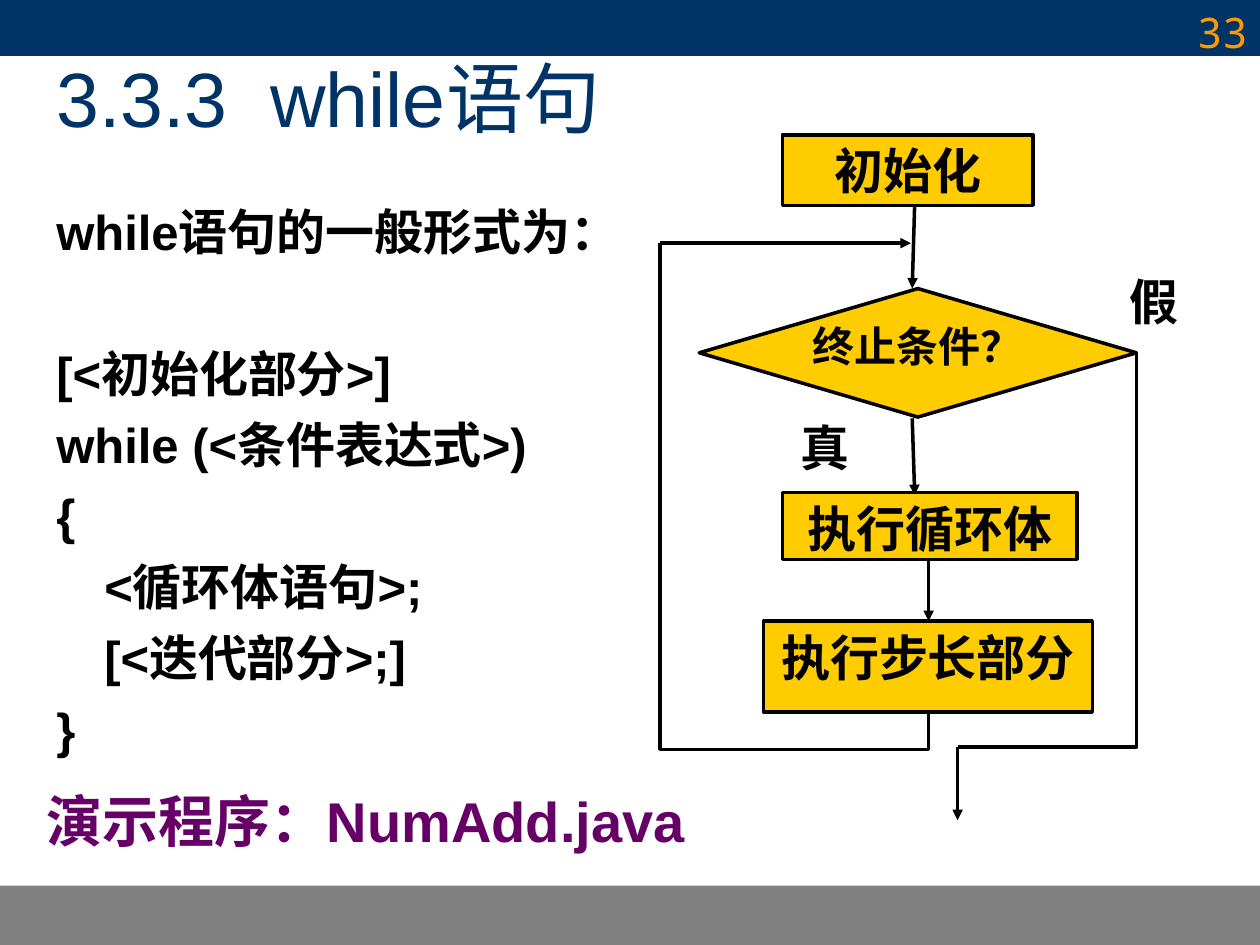
from lxml.etree import SubElement
from pptx import Presentation
from pptx.dml.color import RGBColor
from pptx.enum.shapes import MSO_CONNECTOR as CONN, MSO_SHAPE as SHAPE
from pptx.enum.text import MSO_ANCHOR as ANCHOR, PP_ALIGN as ALIGN
from pptx.oxml.ns import qn
from pptx.util import Inches, Pt

COLORS = {"navy": "003366", "gray": "808080", "gold": "FFCC00", "black": "000000",
          "white": "FFFFFF", "purple": "660066", "orange": "FF9900"}


class FlowSlide:
    """Style and drawing methods for the loop slide."""
    sans, serif, mono = "Arial", "Times New Roman", "Noto Sans Mono"
    line_width = Pt(2)

    def __init__(self, s):
        self.s = s

    def color(self, name):
        return RGBColor.from_string(COLORS[name])

    def run(self, p, text, size, font, color, bold=False):
        r = p.add_run()
        r.text = text
        r.font.size, r.font.name, r.font.bold = Pt(size), font, bold
        r.font.color.rgb = self.color(color)

    def frame(self, tf, x, y):
        tf.word_wrap = True
        tf.vertical_anchor = ANCHOR.TOP
        tf.margin_left = tf.margin_right = Inches(x)
        tf.margin_top = tf.margin_bottom = Inches(y)

    def textbox(self, at, anchor=ANCHOR.TOP):
        tf = self.s.shapes.add_textbox(*map(Inches, at)).text_frame
        self.frame(tf, 0.1, 0.05)
        tf.vertical_anchor = anchor
        return tf

    def label(self, at, text, size, font, color, bold=False, align=ALIGN.LEFT, anchor=ANCHOR.TOP):
        p = self.textbox(at, anchor).paragraphs[0]
        p.alignment = align
        self.run(p, text, size, font, color, bold)

    def code(self, at, lines):
        tf = self.textbox(at)
        for i, (text, indent, before) in enumerate(lines):
            p = tf.paragraphs[0] if i == 0 else tf.add_paragraph()
            p._p.get_or_add_pPr().set("marL", str(Inches(indent)))
            if i:
                p.space_before = Pt(before)
            self.run(p, text, 28, self.sans, "black", True)

    def shape(self, kind, at, fill, line=None, width=line_width):
        sp = self.s.shapes.add_shape(kind, *map(Inches, at))
        sp.shadow.inherit = False
        sp.fill.solid()
        sp.fill.fore_color.rgb = self.color(fill)
        if line:
            sp.line.color.rgb = self.color(line)
            sp.line.width = width
        else:
            sp.line.fill.background()
        return sp

    def node(self, kind, at, text, size=28, margins=(0.09, 0.05), fill="gold", line="black"):
        sp = self.shape(kind, at, fill, line)
        self.frame(sp.text_frame, *margins)
        p = sp.text_frame.paragraphs[0]
        p.alignment = ALIGN.CENTER
        self.run(p, text, size, self.serif, "black", True)
        return sp

    def callout(self, at, text, tip):
        sp = self.node(SHAPE.ROUNDED_RECTANGULAR_CALLOUT, at, text, fill="white", line=None)
        for i, value in enumerate(tip):
            sp.adjustments[i] = value

    def connector(self, kind, start, end):
        sp = self.s.shapes.add_connector(kind, *map(Inches, start + end))
        sp.line.color.rgb = self.color("black")
        sp.line.width = self.line_width
        SubElement(sp._element.spPr, qn("a:effectLst"))
        return sp

    def arrow(self, start, end):
        ln = self.connector(CONN.STRAIGHT, start, end).line._get_or_add_ln()
        SubElement(ln, qn("a:tailEnd"), type="triangle")

    def elbow(self, start, end, turn, adjust, flip=False):
        (x1, y1), (x2, y2) = start, end
        cx, cy = (x1 + x2) / 2, (y1 + y2) / 2
        w, h = abs(y2 - y1), abs(x2 - x1)
        sp = self.connector(CONN.ELBOW, (cx - w / 2, cy - h / 2), (cx + w / 2, cy + h / 2))
        spPr = sp._element.spPr
        xfrm = spPr.find(qn("a:xfrm"))
        xfrm.set("rot", str(turn * 60000))
        if flip:
            xfrm.set("flipV", "1")
        guides = spPr.find(qn("a:prstGeom")).find(qn("a:avLst"))
        SubElement(guides, qn("a:gd"), name="adj1", fmla=f"val {round(adjust * 100000)}")


def main():
    prs = Presentation()
    prs.slide_width, prs.slide_height = Inches(10), Inches(7.5)
    f = FlowSlide(prs.slides.add_slide(prs.slide_layouts[6]))

    f.shape(SHAPE.RECTANGLE, (0, 7.03, 10, 0.47), "gray")
    f.shape(SHAPE.RECTANGLE, (0, 0, 10, 0.44), "navy", "navy", Pt(0.75))
    f.code((0.35, 1.55, 8.5, 4.5), [
        ("while语句的一般形式为：", 0, 0),
        ("[<初始化部分>]", 0, 47.6),
        ("while (<条件表达式>)", 0, 7),
        ("{", 0, 7),
        ("<循环体语句>;", 0.38, 7),
        ("[<迭代部分>;]", 0.38, 7),
        ("}", 0, 7),
    ])
    f.label((0.27, 6.19, 5.75, 0.64), "演示程序：NumAdd.java", 32, f.sans, "purple", True)
    f.label((0.35, 0.44, 8.5, 0.66), "3.3.3  while语句", 44, f.sans, "navy", anchor=ANCHOR.MIDDLE)

    f.arrow((7.26, 1.6), (7.24, 2.29))
    f.node(SHAPE.DIAMOND, (5.55, 2.29, 3.47, 1.02), "终止条件？", 24, (0, 0))
    f.arrow((7.24, 3.32), (7.26, 3.93))
    f.node(SHAPE.RECTANGLE, (6.21, 3.91, 2.34, 0.53), "执行循环体")
    f.arrow((7.37, 4.43), (7.37, 4.93))
    f.callout((8.67, 2.08, 0.97, 0.56), "假", (-0.07, -0.67, 0.17))
    f.node(SHAPE.RECTANGLE, (6.21, 1.07, 1.99, 0.56), "初始化")
    f.node(SHAPE.RECTANGLE, (6.06, 4.93, 2.61, 0.72), "执行步长部分")
    f.elbow((7.37, 5.65), (5.24, 1.93), 270, -0.08, flip=True)
    f.arrow((5.24, 1.93), (7.23, 1.93))
    f.elbow((9.02, 2.81), (7.6, 5.93), 90, 1)
    f.callout((6.21, 3.24, 0.67, 0.56), "真", (0.12, -0.49, 0.17))
    f.arrow((7.6, 5.93), (7.6, 6.51))
    f.label((7.67, 0, 2.33, 0.52), "33", 24, f.mono, "orange", align=ALIGN.RIGHT)
    prs.save("out.pptx")


if __name__ == "__main__":
    main()
